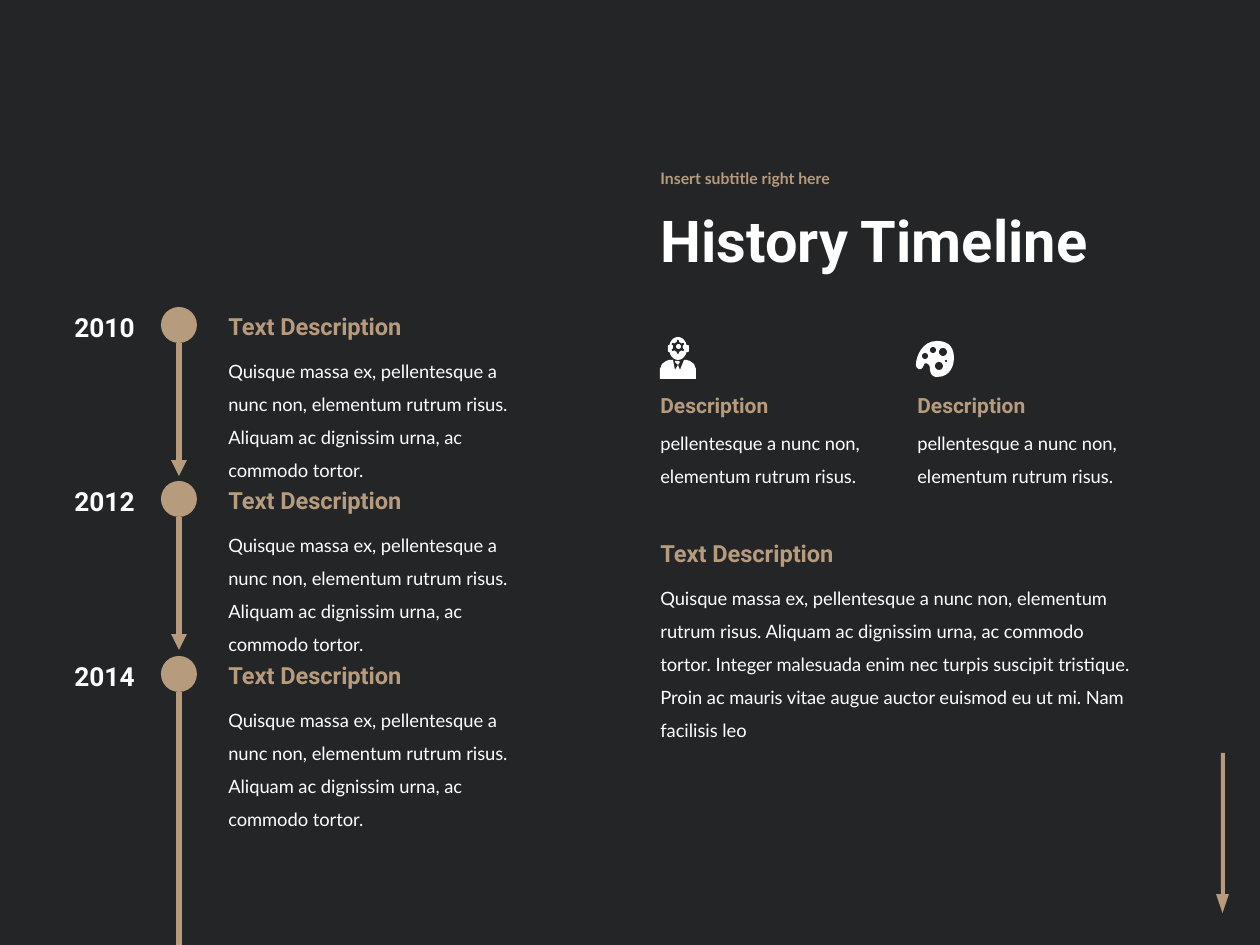
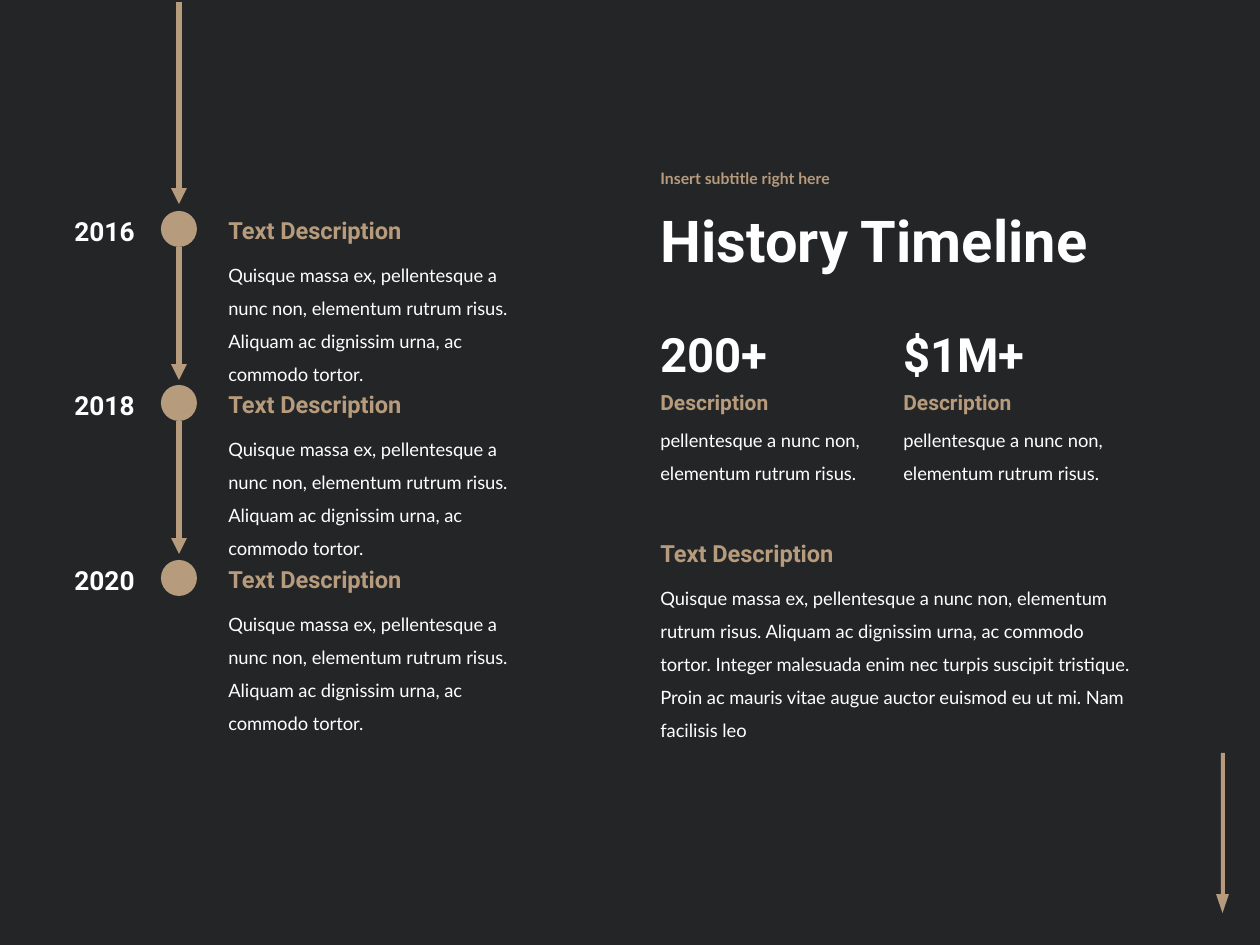
from lxml import etree
from pptx import Presentation
from pptx.dml.color import RGBColor as RGB
from pptx.enum.shapes import MSO_CONNECTOR as Link, MSO_SHAPE as Kind
from pptx.enum.text import MSO_ANCHOR as Anchor, MSO_AUTO_SIZE as Fit, PP_ALIGN as Align
from pptx.oxml.ns import qn
from pptx.util import Pt

PX = 7257  # EMU in one px, 126 px to the inch
WIDE, HIGH = 1260, 945
HUES = {"ground": "242527", "tan": "B69B7D", "white": "FFFFFF"}

SHORT = ("Quisque massa ex, pellentesque a nunc non, elementum rutrum risus. "
         "Aliquam ac dignissim urna, ac commodo tortor.")
LONG = SHORT + (" Integer malesuada enim nec turpis suscipit tristique. Proin ac "
                "mauris vitae augue auctor euismod eu ut mi. Nam facilisis leo")
BRIEF = "pellentesque a nunc non, elementum rutrum risus."

DOT, STEP, AXIS = 36, 174.5, 179
LEFT = 648  # left edge of the right-hand column

PAGES = [
    {"years": ["2010", "2012", "2014"], "top": 307, "cols": [LEFT, 905],
     "label": 386, "facts": [], "tail": (692, HIGH, False)},
    {"years": ["2016", "2018", "2020"], "top": 211, "cols": [LEFT, 891],
     "label": 383, "facts": ["200+", "$1M+"], "tail": (2, 204, True)},
]


def write(slide, at, text, shape=None, size=10.5, face="Lato", hue="white",
          bold=False, align=Align.LEFT, anchor=Anchor.TOP, space=1.0):
    """Put text in a new text box, or in the given shape, at a px box."""
    box = [v * PX for v in at]
    if shape is None:
        shape = slide.shapes.add_textbox(*box)
    shape.left, shape.top, shape.width, shape.height = box
    frame = shape.text_frame
    frame.word_wrap, frame.auto_size = True, Fit.NONE
    frame.vertical_anchor = anchor
    line = frame.paragraphs[0]
    line.alignment, line.line_spacing = align, space
    run = line.add_run()
    run.text = text
    run.font.size, run.font.name, run.font.bold = Pt(size), face, bold
    run.font.color.rgb = RGB.from_string(HUES[hue])


def paint(shape, hue):
    shape.shadow.inherit = False
    shape.fill.solid()
    shape.fill.fore_color.rgb = RGB.from_string(HUES[hue])
    shape.line.fill.background()
    return shape


deck = Presentation()
deck.slide_width, deck.slide_height = WIDE * PX, HIGH * PX
back = deck.slide_master.background.fill
back.solid()
back.fore_color.rgb = RGB.from_string(HUES["ground"])

TAN = {"face": "Roboto", "hue": "tan", "bold": True}
WHITE = {"face": "Roboto", "bold": True}

for page in PAGES:
    slide = deck.slides.add_slide(deck.slide_layouts[5])
    shapes = slide.shapes

    # Corner arrow, title and subtitle
    paint(shapes.add_shape(Kind.RECTANGLE, 1221 * PX, 753 * PX, 4 * PX, 142 * PX), "tan")
    tip = shapes.add_shape(Kind.ISOSCELES_TRIANGLE, 1216 * PX, 894 * PX, 13 * PX, 19 * PX)
    paint(tip, "tan").rotation = 180
    write(slide, (LEFT, 179, 600, 130), "History Timeline", shape=shapes.title,
          size=33, anchor=Anchor.MIDDLE, space=0.9, **WHITE)
    write(slide, (LEFT, 155, 600, 48), "Insert subtitle right here", size=9,
          hue="tan", bold=True, anchor=Anchor.MIDDLE, space=0.9)

    # Timeline
    paint(shapes.add_shape(Kind.RECTANGLE, 0, 0, 600 * PX, HIGH * PX), "ground")
    tops = [int(page["top"] + i * STEP) for i in range(3)]
    for year, top in zip(page["years"], tops):
        dot = shapes.add_shape(Kind.OVAL, (AXIS - DOT // 2) * PX, top * PX, DOT * PX, DOT * PX)
        paint(dot, "tan")
        write(slide, (54, top - 2, 93, 44), year, size=15, align=Align.RIGHT, **WHITE)
        write(slide, (216, top + 36, 328, 110), SHORT, space=1.5)
        write(slide, (216, top - 1, 276, 42), "Text Description", size=13.5, **TAN)

    spans = [(top + DOT, top + DOT + 133, True) for top in tops[:2]]
    for start, end, head in spans + [page["tail"]]:
        link = shapes.add_connector(Link.STRAIGHT, AXIS * PX, start * PX, AXIS * PX, end * PX)
        link.line.width = Pt(3)
        link.line.color.rgb = RGB.from_string(HUES["tan"])
        if head:
            etree.SubElement(link.line._get_or_add_ln(), qn("a:tailEnd"), type="triangle")
        etree.SubElement(link._element.spPr, qn("a:effectLst"))

    # Right-hand column
    write(slide, (LEFT, 570, 504, 142), LONG, space=1.5)
    write(slide, (LEFT, 533, 276, 42), "Text Description", size=13.5, **TAN)
    for x in page["cols"]:
        write(slide, (x, page["label"] + 29, 238, 76), BRIEF, space=1.5)
        write(slide, (x, page["label"], 189, 38), "Description", size=12, **TAN)
    for x, fact in zip(page["cols"], page["facts"]):
        write(slide, (x, 319, 189, 71), fact, size=27, **WHITE)

# Icons on the first slide: a thinker and a palette
shapes = deck.slides[0].shapes
coat = [(684, 360), (680, 370), (678, 365), (680, 362), (679, 361), (675, 361),
        (675, 362), (678, 365), (675, 370), (673, 360), (669, 360), (666, 361),
        (662, 364), (660, 369), (660, 379), (696, 379), (696, 369), (694, 364),
        (690, 361)]
pen = shapes.build_freeform(687, 360, scale=PX)
pen.add_line_segments(coat)
paint(pen.convert_to_shape(), "white")

curves = [
    [(937, 341), (922, 341), (916, 357), (916, 365)],
    [(916, 365), (916, 368), (921, 373), (924, 365)],
    [(924, 365), (924, 362), (930, 363), (930, 368)],
    [(930, 368), (930, 373), (932, 377), (937, 377)],
    [(937, 377), (951, 377), (954, 365), (954, 358)],
    [(954, 358), (954, 350), (951, 341), (937, 341)],
]
rim = []
for curve in curves:
    for t in [n / 8 for n in range(1, 9)]:
        parts = ((1 - t) ** 3, 3 * t * (1 - t) ** 2, 3 * t * t * (1 - t), t ** 3)
        rim.append([100 * sum(k * p[axis] for k, p in zip(parts, curve)) for axis in (0, 1)])
pen = shapes.build_freeform(93700, 34100, scale=PX / 100)
pen.add_line_segments(rim)
paint(pen.convert_to_shape(), "white")

bits = [
    (Kind.OVAL, 669, 337, 18, 23, "white"),
    (Kind.ROUNDED_RECTANGLE, 668, 345, 21, 7, "white"),
    (Kind.GEAR_6, 671, 340, 14, 14, "ground"),
    (Kind.OVAL, 676, 344, 5, 5, "white"),
]
wells = [(925, 356, 3), (933, 350, 3), (939, 366, 4), (946, 361, 1), (943, 352, 4)]
bits += [(Kind.OVAL, x - r, y - r, 2 * r, 2 * r, "ground") for x, y, r in wells]
for kind, x, y, w, h, hue in bits:
    paint(shapes.add_shape(kind, x * PX, y * PX, w * PX, h * PX), hue)

deck.save("out.pptx")
